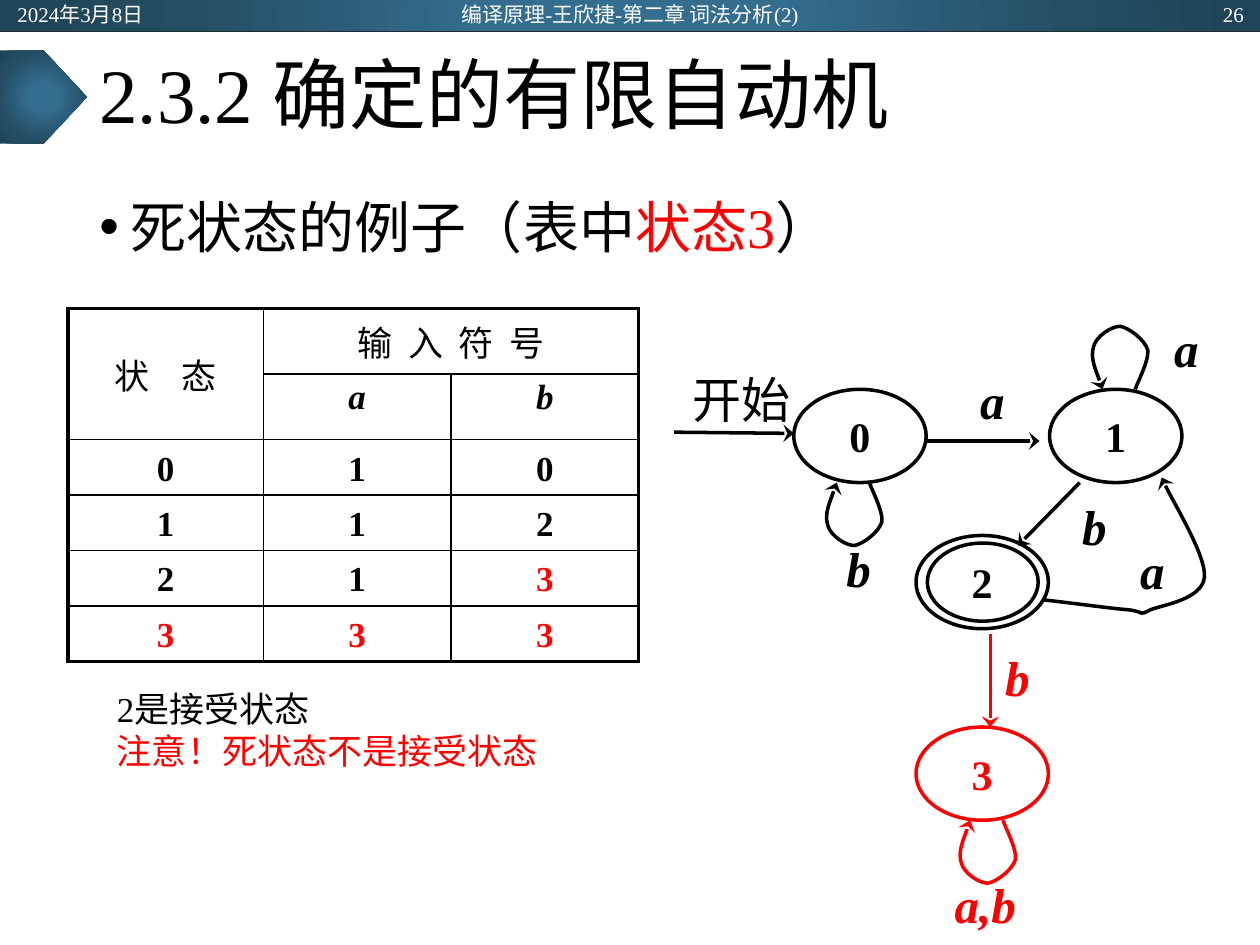
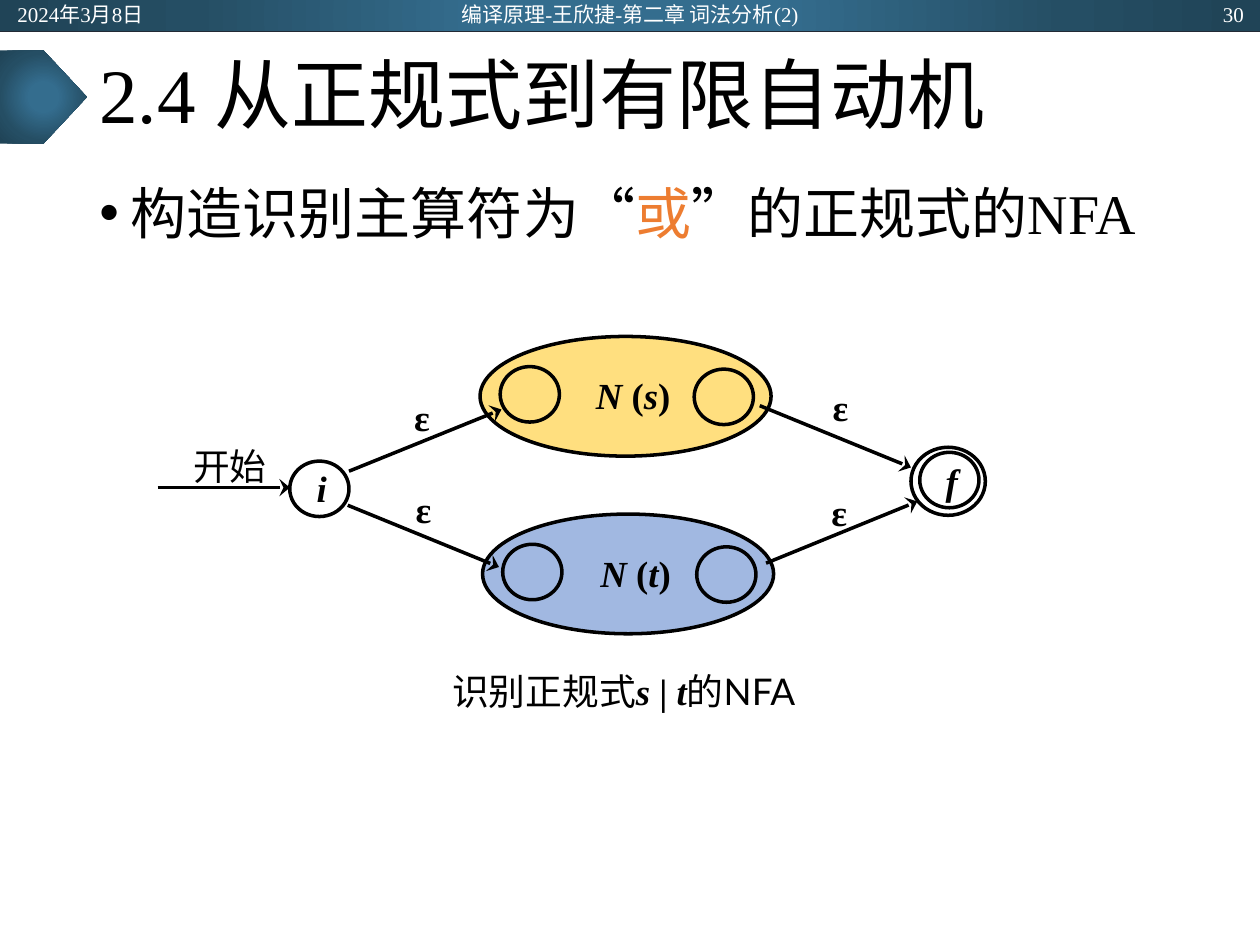
import dataclasses

import pptx
import pptx.dml.color
import pptx.enum.shapes
import pptx.enum.text
import pptx.oxml
import pptx.oxml.ns
import pptx.util

Inches = pptx.util.Inches
Pt = pptx.util.Pt
qn = pptx.oxml.ns.qn
SHAPES = pptx.enum.shapes.MSO_SHAPE
ANCHOR = pptx.enum.text.MSO_ANCHOR
ALIGN = pptx.enum.text.PP_ALIGN


@dataclasses.dataclass(frozen=True)
class Theme:
    ink: str = "000000"
    alert: str = "FF0000"
    white: str = "FFFFFF"
    accent: str = "ED7D31"
    rule: str = "222A35"
    gold: str = "FFC000"
    blue: str = "4472C4"
    band: tuple = ((0, "346D8E"), (23, "346D8E"), (69, "254E64"), (97, "204457"))
    serif: str = "Times New Roman"
    sans: str = "Lato"
    chinese: str = "Noto Sans CJK SC"
    quote: str = "Arial"
    title: int = 44
    body: int = 32
    edge: int = 28
    state: int = 24
    nfa: int = 21
    small: int = 20
    header: int = 12
    stroke: int = 2


THEME = Theme()
TIGHT = (0.04, 0.02, 0.04, 0.02)
ROOMY = (0.1, 0.05, 0.1, 0.05)


def rgb(code):
    return pptx.dml.color.RGBColor.from_string(code)


def xml(tag, content="", **attributes):
    listed = "".join(f' {key}="{value}"' for key, value in attributes.items())
    return pptx.oxml.parse_xml(
        f'<a:{tag} {pptx.oxml.ns.nsdecls("a")}{listed}>{content}</a:{tag}>')


def write(frame, *lines, size, font=THEME.serif, color=THEME.ink, bold=False,
          italic=False, align=ALIGN.LEFT, spacing=None, tracking=0, bullet=False):
    for index, line in enumerate(lines):
        paragraph = frame.add_paragraph() if index else frame.paragraphs[0]
        paragraph.alignment = align
        if spacing:
            paragraph.line_spacing = spacing
        if bullet:
            properties = paragraph._p.get_or_add_pPr()
            properties.set("marL", str(Inches(0.25)))
            properties.set("indent", str(Inches(-0.25)))
            properties.append(xml("buFont", typeface=THEME.quote))
            properties.append(xml("buChar", char="•"))
        for words, changes in [(line, {})] if isinstance(line, str) else line:
            run = paragraph.add_run()
            run.text = words
            run.font.size = Pt(size)
            run.font.name = changes.get("font", font)
            run.font.bold = changes.get("bold", bold)
            run.font.italic = changes.get("italic", italic)
            run.font.color.rgb = rgb(changes.get("color", color))
            properties = run._r.get_or_add_rPr()
            properties.append(xml("ea", typeface=THEME.chinese))
            if tracking:
                properties.set("spc", str(int(tracking * 100)))


def set_frame(frame, anchor, insets):
    frame.word_wrap = True
    frame.vertical_anchor = anchor
    (frame.margin_left, frame.margin_top,
     frame.margin_right, frame.margin_bottom) = map(Inches, insets)


def label(slide, box, *lines, anchor=ANCHOR.MIDDLE, insets=TIGHT, **style):
    frame = slide.shapes.add_textbox(*map(Inches, box)).text_frame
    set_frame(frame, anchor, insets)
    write(frame, *lines, **style)


def stroke(shape, color=THEME.ink, width=THEME.stroke, arrow=False):
    shape.line.color.rgb = rgb(color)
    shape.line.width = Pt(width)
    if arrow:
        shape._element.spPr.find(qn("a:ln")).append(
            xml("tailEnd", type="stealth", w="lg", len="med"))


def straight(slide, start, end, arrow=True, **style):
    edge = slide.shapes.add_connector(
        pptx.enum.shapes.MSO_CONNECTOR.STRAIGHT, *map(Inches, start + end))
    stroke(edge, arrow=arrow, **style)
    edge._element.spPr.append(xml("effectLst"))


def curve(slide, start, controls, color=THEME.ink):
    builder = slide.shapes.build_freeform(*map(Inches, start))
    builder.add_line_segments([(Inches(x), Inches(y)) for x, y in controls], close=False)
    arc = builder.convert_to_shape()
    arc.shadow.inherit = False
    arc.fill.background()
    stroke(arc, color, arrow=True)
    segments = list(arc._element.iter(qn("a:lnTo")))
    for first, second, third in zip(*[iter(segments)] * 3):
        bezier = xml("cubicBezTo")
        first.addprevious(bezier)
        for segment in (first, second, third):
            bezier.append(segment[0])
            segment.getparent().remove(segment)


def self_loop(slide, left, edge_y, direction=1, color=THEME.ink):
    controls = ((0.38, 0.06), (0.47, 0.23), (0.46, 0.31),
                (0.44, 0.39), (0.31, 0.49), (0.24, 0.5),
                (0.17, 0.5), (0.05, 0.42), (0.03, 0.34),
                (0, 0.25), (0.08, 0.07), (0.1, 0))
    curve(slide, (left + 0.36, edge_y),
          [(left + x, edge_y + direction * y) for x, y in controls], color)


def oval(slide, box, text="", fill=None, color=THEME.ink, insets=TIGHT, **style):
    state = slide.shapes.add_shape(SHAPES.OVAL, *map(Inches, box))
    state.shadow.inherit = False
    if fill:
        state.fill.solid()
        state.fill.fore_color.rgb = rgb(fill)
        state._element.spPr.find(qn("a:solidFill"))[0].append(xml("alpha", val=50000))
    else:
        state.fill.background()
    stroke(state, color)
    if text:
        set_frame(state.text_frame, ANCHOR.MIDDLE, insets)
        write(state.text_frame, text, color=color, bold=True, align=ALIGN.CENTER, **style)


def gradient_shape(slide, kind, box):
    shape = slide.shapes.add_shape(kind, *map(Inches, box))
    shape.shadow.inherit = False
    shape.line.fill.background()
    shape.fill.background()
    stops = "".join(f'<a:gs pos="{place * 1000}"><a:srgbClr val="{color}"/></a:gs>'
                    for place, color in THEME.band)
    center = '<a:fillToRect l="50000" t="50000" r="50000" b="50000"/>'
    properties = shape._element.spPr
    properties.replace(
        properties.find(qn("a:noFill")),
        xml("gradFill", f'<a:gsLst>{stops}</a:gsLst><a:path path="circle">{center}</a:path>'))


def lecture_slide(deck, title, number):
    slide = deck.slides.add_slide(deck.slide_layouts[6])
    gradient_shape(slide, SHAPES.RECTANGLE, (0, 0, 10, 0.25))
    straight(slide, (0, 0.25), (10, 0.25), arrow=False, color=THEME.rule, width=0.5)
    gradient_shape(slide, SHAPES.PENTAGON, (0, 0.4, 0.69, 0.74))
    label(slide, (0.69, 0.26, 8.62, 1.04), title, size=THEME.title, spacing=0.9,
          insets=ROOMY)
    for left, width, words, align in (
            (0.04, 2.25, "2024年3月8日", ALIGN.LEFT),
            (3.31, 3.38, "编译原理-王欣捷-第二章 词法分析(2)", ALIGN.CENTER),
            (7.72, 2.25, number, ALIGN.RIGHT)):
        label(slide, (left, 0.01, width, 0.2), words, size=THEME.header,
              color=THEME.white, align=align, insets=ROOMY)
    return slide


def body_text(slide, box, runs, **style):
    label(slide, box, runs, size=THEME.body, bullet=True, anchor=ANCHOR.TOP,
          insets=ROOMY, **style)


def border_cell(cell, row, column, rows, columns):
    outer = {"lnL": column == 0, "lnR": column + cell.span_width >= columns,
             "lnT": row == 0, "lnB": row + cell.span_height >= rows}
    for place, (side, thick) in enumerate(outer.items()):
        cell._tc.get_or_add_tcPr().insert(place, xml(
            side, f'<a:solidFill><a:srgbClr val="{THEME.ink}"/></a:solidFill>',
            w=Pt(2.25 if thick else 1)))


def transition_table(slide, left, top):
    rows = (("状 态", "输 入 符 号", ""), ("", "a", "b"),
            ("0", "1", "0"), ("1", "1", "2"), ("2", "1", "3"), ("3", "3", "3"))
    widths = (1.55, 1.49, 1.49)
    heights = (0.52, 0.52) + (0.44,) * 4
    table = slide.shapes.add_table(len(rows), len(widths), *map(
        Inches, (left, top, sum(widths), sum(heights)))).table
    table.first_row = table.horz_banding = False
    for column, width in zip(table.columns, widths):
        column.width = Inches(width)
    for row, height in zip(table.rows, heights):
        row.height = Inches(height)
    table.cell(0, 0).merge(table.cell(1, 0))
    table.cell(0, 1).merge(table.cell(0, 2))
    row_styles = (((0.12, 0.06, 0.12, 0.06), {"font": THEME.sans}),
                  ((0.05, 0.03, 0.05, 0.03), {"bold": True, "italic": True}))
    value_style = ((0, 0.08, 0, 0), {"bold": True})
    for r, row in enumerate(rows):
        insets, style = row_styles[r] if r < 2 else value_style
        for c, words in enumerate(row):
            cell = table.cell(r, c)
            cell.fill.background()
            border_cell(cell, r, c, len(rows), len(widths))
            if not words:
                continue
            (cell.margin_left, cell.margin_top,
             cell.margin_right, cell.margin_bottom) = map(Inches, insets)
            cell.vertical_anchor = ANCHOR.MIDDLE if (r, c) == (0, 0) else ANCHOR.TOP
            write(cell.text_frame, words, size=THEME.small, align=ALIGN.CENTER,
                  color=THEME.alert if words == "3" else THEME.ink,
                  tracking=(7, 2.3)[c] if r == 0 else 0, **style)


def dead_state_automaton(slide, left, top):
    def at(x, y):
        return left + x, top + y

    for name, x, y, color in (("0", 1.06, 0.58, THEME.ink), ("1", 3.09, 0.58, THEME.ink),
                              ("2", 2.03, 1.74, THEME.ink), ("3", 2.03, 3.26, THEME.alert)):
        oval(slide, at(x, y) + (1.05, 0.74), name, color=color, size=THEME.state)
    oval(slide, at(2.12, 1.8) + (0.88, 0.62))
    for start, end, color in (((0.11, 0.92), (1.06, 0.93), THEME.ink),
                              ((2.11, 0.99), (3.01, 0.99), THEME.ink),
                              ((3.33, 1.32), (2.84, 1.82), THEME.ink),
                              ((2.62, 2.52), (2.62, 3.26), THEME.alert)):
        straight(slide, at(*start), at(*end), color=color)
    self_loop(slide, *at(1.3, 1.32))
    self_loop(slide, *at(3.41, 0.58), direction=-1)
    self_loop(slide, *at(2.36, 4), color=THEME.alert)
    back_edge = ((3.3, 2.28), (3.58, 2.32), (3.72, 2.33),
                 (3.86, 2.35), (3.79, 2.38), (3.89, 2.33),
                 (3.99, 2.29), (4.3, 2.25), (4.32, 2.07),
                 (4.33, 1.9), (4.02, 1.39), (3.98, 1.28))
    curve(slide, at(3.03, 2.25), [at(*control) for control in back_edge])
    for symbol, x, y, color in (("a", 2.36, 0.41, THEME.ink), ("b", 1.3, 1.74, THEME.ink),
                                ("a", 3.9, 0, THEME.ink), ("b", 3.17, 1.41, THEME.ink),
                                ("a", 3.63, 1.76, THEME.ink), ("b", 2.56, 2.61, THEME.alert),
                                ("a,b", 2.26, 4.41, THEME.alert)):
        label(slide, at(x, y) + (0.64 if "," in symbol else 0.55, 0.51), symbol,
              size=THEME.edge, color=color, bold=True, italic=True, align=ALIGN.CENTER)
    label(slide, at(0, 0.37) + (1.29, 0.57), "开始", size=THEME.edge, align=ALIGN.CENTER)


def sub_automaton(slide, left, top, name, fill):
    oval(slide, (left, top, 2.31, 0.95), fill=fill)
    for x, y in ((0.16, 0.24), (1.7, 0.26)):
        oval(slide, (left + x, top + y, 0.47, 0.44))
    upright = {"italic": False}
    label(slide, (left + 0.82, top + 0.21, 0.8, 0.53),
          [("N ", {}), ("(", upright), (name, {}), (")", upright)], size=THEME.nfa,
          bold=True, italic=True, align=ALIGN.CENTER, insets=(0.06, 0.02, 0.07, 0.04))


def union_automaton(slide, left, top):
    def at(x, y):
        return left + x, top + y

    sub_automaton(slide, *at(2.56, 0), "s", THEME.gold)
    sub_automaton(slide, *at(2.58, 1.41), "t", THEME.blue)
    oval(slide, at(5.98, 0.88) + (0.59, 0.54))
    for name, x, y, bottom in (("i", 1.05, 0.99, 0.04), ("f", 6.05, 0.92, 0.01)):
        oval(slide, at(x, y) + (0.47, 0.44), name, size=THEME.nfa, italic=True,
             insets=(0.06, 0.02, 0.02, bottom))
    for start, end in (((0, 1.2), (1.05, 1.2)),
                       ((1.52, 1.07), (2.73, 0.58)), ((1.51, 1.34), (2.71, 1.83)),
                       ((4.83, 1.8), (6.03, 1.31)), ((4.78, 0.55), (5.98, 1.04))):
        straight(slide, at(*start), at(*end))
    for x, y in ((1.91, 0.46), (1.92, 1.19), (5.23, 0.38), (5.22, 1.22)):
        label(slide, at(x, y) + (0.38, 0.35), "ε", size=THEME.nfa, bold=True,
              align=ALIGN.CENTER)
    label(slide, at(0.19, 0.82) + (0.77, 0.42), "开始", size=THEME.nfa, align=ALIGN.CENTER)
    symbol = {"bold": True, "italic": True}
    label(slide, at(1.94, 2.63) + (3.52, 0.37),
          [("识别正规式", {}), ("s ", symbol), ("| ", {"bold": True}), ("t", symbol),
           ("的", {}), ("NFA", {"font": THEME.sans})], size=THEME.nfa, align=ALIGN.CENTER)


def dead_state_slide(deck):
    slide = lecture_slide(deck, "2.3.2 确定的有限自动机", "26")
    body_text(slide, (0.69, 1.37, 8.62, 6.13),
              [("死状态的例子（表中", {}), ("状态3", {"color": THEME.alert}), ("）", {})],
              spacing=1.2)
    transition_table(slide, 0.54, 2.45)
    label(slide, (0.83, 5.41, 3.7, 0.77), "2是接受状态",
          [("注意！死状态不是接受状态", {"color": THEME.alert})],
          size=THEME.small, anchor=ANCHOR.TOP, insets=ROOMY)
    dead_state_automaton(slide, 5.24, 2.51)


def union_slide(deck):
    slide = lecture_slide(deck, "2.4 从正规式到有限自动机", "30")
    quote = {"font": THEME.quote}
    body_text(slide, (0.69, 1.37, 8.62, 5.38),
              [("构造识别主算符为", {}), ("“", quote), ("或", {"color": THEME.accent}),
               ("”", quote), ("的正规式的", {}), ("NFA", {"font": THEME.serif})],
              font=THEME.chinese)
    union_automaton(slide, 1.25, 2.67)


def main():
    deck = pptx.Presentation()
    deck.slide_width, deck.slide_height = Inches(10), Inches(7.5)
    dead_state_slide(deck)
    union_slide(deck)
    deck.save("out.pptx")


if __name__ == "__main__":
    main()
